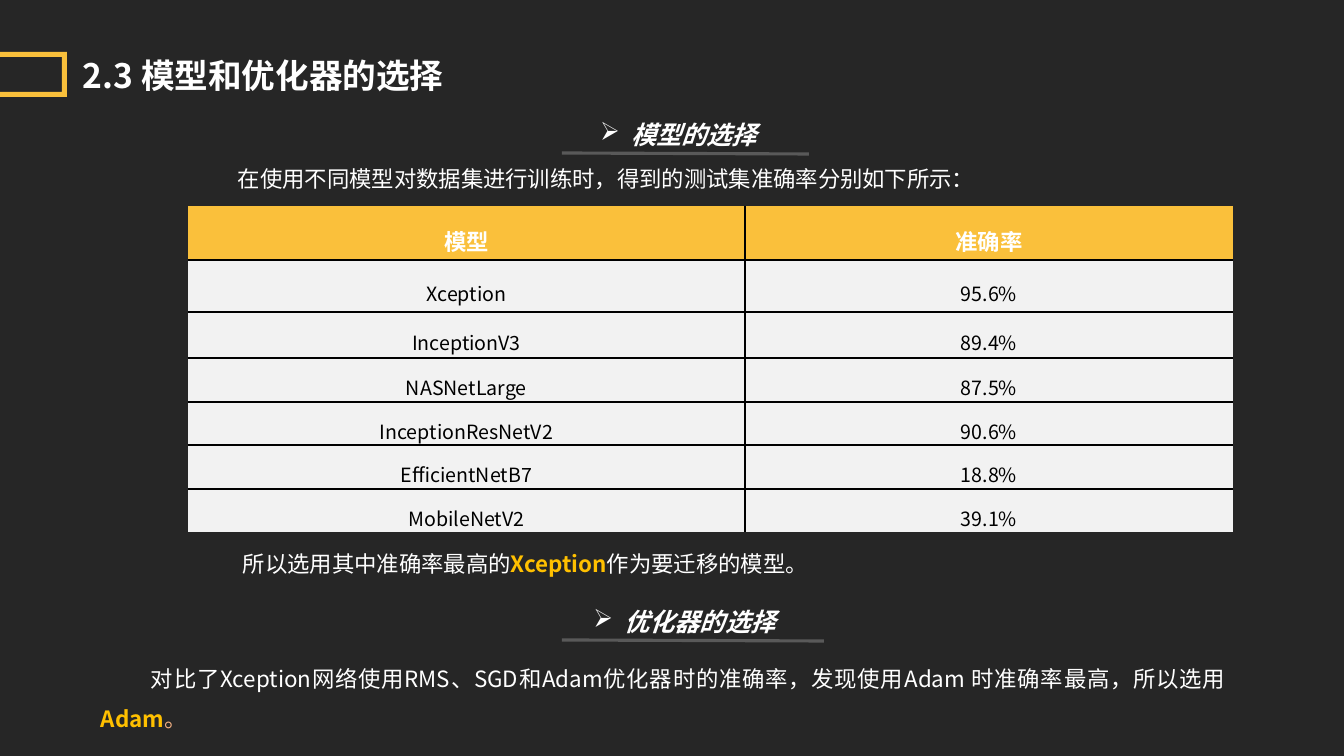
from dataclasses import dataclass

from lxml import etree
from pptx import Presentation
from pptx.dml.color import RGBColor
from pptx.enum.shapes import MSO_CONNECTOR
from pptx.enum.text import MSO_ANCHOR, MSO_AUTO_SIZE, PP_ALIGN
from pptx.oxml.ns import qn
from pptx.util import Pt

STRAIGHT = MSO_CONNECTOR.STRAIGHT
MIDDLE = MSO_ANCHOR.MIDDLE
GROW = MSO_AUTO_SIZE.SHAPE_TO_FIT_TEXT
LEFT, CENTER, JUSTIFY = PP_ALIGN.LEFT, PP_ALIGN.CENTER, PP_ALIGN.JUSTIFY
PLAIN_TABLE = "{2D5ABB26-0587-4C30-8999-92F81FD0307C}"
SLIDE_WIDTH, SLIDE_HEIGHT = 1344, 756
EMU_PER_PX = 914400 / 100.8


@dataclass(frozen=True)
class Theme:
    font: str = "Noto Sans CJK SC"
    background: str = "262626"
    accent: str = "FAC03B"
    highlight: str = "FFC000"
    stop: str = "F4B183"
    light: str = "FFFFFF"
    dark: str = "000000"
    cell: str = "F2F2F2"
    rule: str = "595959"
    title: int = 24
    heading: int = 18
    body: int = 16
    data: int = 14


THEME = Theme()
MODELS = [
    ("模型", "准确率"),
    ("Xception", "95.6%"),
    ("InceptionV3", "89.4%"),
    ("NASNetLarge", "87.5%"),
    ("InceptionResNetV2", "90.6%"),
    ("EfficientNetB7", "18.8%"),
]
LAST_MODEL = [("MobileNetV2", "39.1%")]


def px(length):
    return round(length * EMU_PER_PX)


def rgb(code):
    return RGBColor.from_string(code)


def write(frame, runs, size=THEME.body, color=THEME.light, bold=False, italic=False,
          align=LEFT, spacing=1.5, before=0, margin=0, indent=0, bullet=None):
    frame.word_wrap = True
    paragraph = frame.paragraphs[0]
    paragraph.alignment = align
    paragraph.line_spacing = spacing
    paragraph.space_before = Pt(before)
    properties = paragraph._p.get_or_add_pPr()
    properties.set("marL", str(px(margin)))
    properties.set("indent", str(px(indent)))
    if bullet:
        etree.SubElement(properties, qn("a:buChar"), char=bullet)
    for text, run_color, run_bold in [(runs, color, bold)] if isinstance(runs, str) else runs:
        run = paragraph.add_run()
        run.text = text
        run.font.name = THEME.font
        run.font.size = Pt(size)
        run.font.bold = run_bold
        run.font.italic = italic
        run.font.color.rgb = rgb(run_color)
        etree.SubElement(run._r.get_or_add_rPr(), qn("a:ea"), typeface=THEME.font)


def add_text(slide, box, runs, **style):
    frame = slide.shapes.add_textbox(*map(px, box)).text_frame
    write(frame, runs, **style)
    frame.auto_size = GROW


def add_title(slide, box, text):
    left, top, width, height = box
    frame_width, thickness, gap = 67, 5, 6
    right, bottom = left + frame_width, top + height
    inner = right - thickness
    builder = slide.shapes.build_freeform(left, top, scale=EMU_PER_PX)
    builder.add_line_segments([
        (right, top), (right, bottom), (left, bottom), (left, bottom - thickness),
        (inner, bottom - thickness), (inner, top + thickness), (left, top + thickness),
    ], close=True)
    bracket = builder.convert_to_shape()
    bracket.shadow.inherit = False
    bracket.fill.solid()
    bracket.fill.fore_color.rgb = rgb(THEME.accent)
    bracket.line.fill.background()
    add_text(slide, (right + gap, top - 2, width - frame_width - gap, height + 5), text,
             size=THEME.title, bold=True, spacing=1)


def add_heading(slide, box, text, rule_left, rule_width):
    left, top, width, height = box
    rule_top = top + height - 1
    rule = slide.shapes.add_connector(
        STRAIGHT, *map(px, (rule_left, rule_top, rule_left + rule_width, rule_top + 1)))
    rule.line.color.rgb = rgb(THEME.rule)
    rule.line.width = Pt(2.25)
    etree.SubElement(rule._element.spPr, qn("a:effectLst"))
    add_text(slide, box, text, size=THEME.heading, bold=True, italic=True,
             align=CENTER, margin=31, indent=-31, bullet="➢")


def add_body(slide, box, runs):
    add_text(slide, box, runs, align=JUSTIFY, before=6, indent=50)


def set_border(cell, side):
    line = etree.Element(qn(f"a:ln{side}"), w=str(Pt(1)))
    fill = etree.SubElement(line, qn("a:solidFill"))
    etree.SubElement(fill, qn("a:srgbClr"), val=THEME.dark)
    cell._tc.get_or_add_tcPr().append(line)


def add_model_table(slide, box, rows, row_heights, has_header):
    graphic = slide.shapes.add_table(len(rows), 2, *map(px, box))
    table = graphic.table
    table.first_row = has_header
    table.horz_banding = False
    table._tbl.tblPr.find(qn("a:tableStyleId")).text = PLAIN_TABLE
    name_width = 557
    table.columns[0].width = px(name_width)
    table.columns[1].width = px(box[2] - name_width)
    for row, (values, height) in enumerate(zip(rows, row_heights)):
        table.rows[row].height = px(height)
        header = has_header and row == 0
        for column, value in enumerate(values):
            cell = table.cell(row, column)
            cell.vertical_anchor = MIDDLE
            cell.margin_left = cell.margin_right = px(7)
            cell.margin_top = cell.margin_bottom = 0
            set_border(cell, "L" if column else "R")
            if not header:
                set_border(cell, "T")
            if row < len(rows) - 1:
                set_border(cell, "B")
            cell.fill.solid()
            cell.fill.fore_color.rgb = rgb(THEME.accent if header else THEME.cell)
            write(cell.text_frame, value, align=CENTER, bold=header,
                  size=THEME.body if header else THEME.data,
                  color=THEME.light if header else THEME.dark)


def add_model_section(slide, box):
    left, top, width, height = box
    add_heading(slide, (left + 335, top, 311, 55), "模型的选择", 562, 247)
    add_body(slide, (left - 10, top + 48, 1036, 50),
             "在使用不同模型对数据集进行训练时，得到的测试集准确率分别如下所示：")
    heights = [54, 52, 46, 44, 43, 44]
    table_top = top + 107
    last_top = table_top + sum(heights)
    add_model_table(slide, (left, table_top, width, sum(heights)), MODELS, heights, True)
    add_model_table(slide, (left, last_top, width, 43), LAST_MODEL, [43], False)
    add_body(slide, (left - 5, top + height - 46, 1036, 46), [
        ("所以选用其中准确率最高的", THEME.light, False),
        ("Xception", THEME.highlight, True),
        ("作为要迁移的模型。", THEME.light, False),
    ])


def add_optimizer_section(slide, box):
    left, top, width, height = box
    add_heading(slide, (left + 447, top, 293, 55), "优化器的选择", 562, 262)
    add_body(slide, (left, top + 61, width, height - 61), [
        ("对比了Xception网络使用RMS、SGD和Adam优化器时的准确率，"
         "发现使用Adam 时准确率最高，所以选用", THEME.light, False),
        ("Adam", THEME.highlight, True),
        ("。", THEME.stop, False),
    ])


def main():
    deck = Presentation()
    deck.slide_width, deck.slide_height = px(SLIDE_WIDTH), px(SLIDE_HEIGHT)
    slide = deck.slides.add_slide(deck.slide_layouts[6])
    slide.background.fill.solid()
    slide.background.fill.fore_color.rgb = rgb(THEME.background)
    add_title(slide, (0, 52, 460, 45), "2.3 模型和优化器的选择")
    add_model_section(slide, (188, 99, 1045, 479))
    add_optimizer_section(slide, (91, 586, 1144, 148))
    deck.save("out.pptx")


if __name__ == "__main__":
    main()
